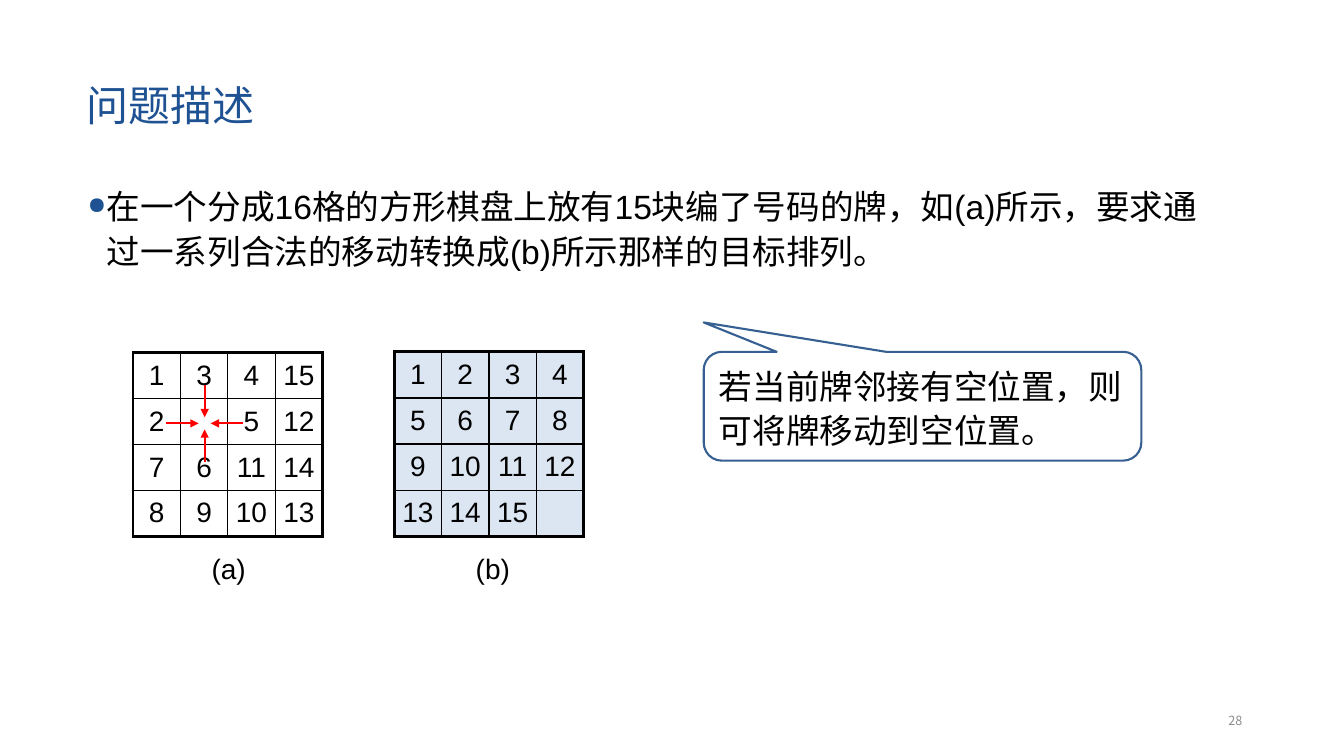
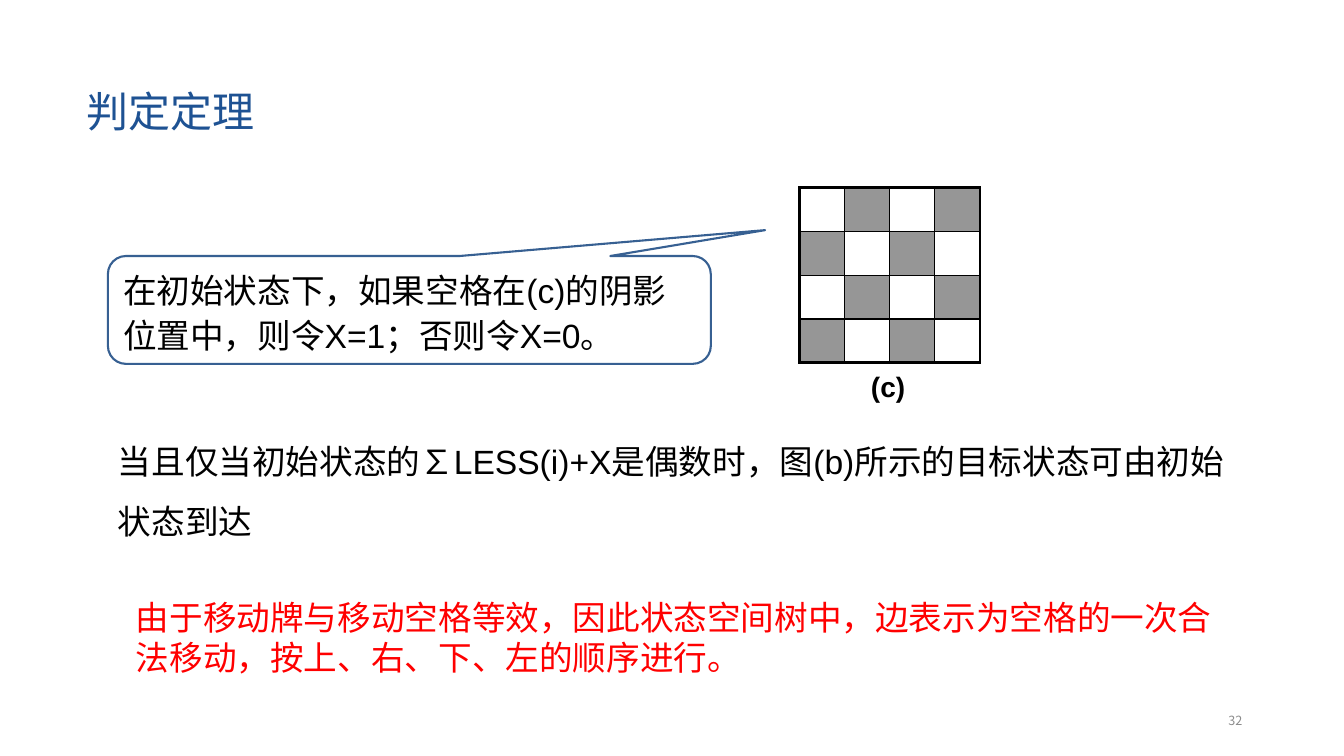
from lxml.etree import SubElement
from pptx import Presentation
from pptx.dml.color import RGBColor
from pptx.enum.shapes import MSO_CONNECTOR, MSO_SHAPE
from pptx.enum.text import MSO_ANCHOR, PP_ALIGN
from pptx.oxml.ns import qn
from pptx.util import Inches, Pt

BLACK, WHITE, RED = "000000", "FFFFFF", "FF0000"
TITLE_BLUE, CALLOUT_BLUE = "1E5293", "376092"
GOAL_FILL, SHADED_FILL = "DCE6F2", "969696"
PAGE_GRAY = "8C8C8C"
LATIN_FONT, CHINESE_FONT = "Arial", "Noto Sans CJK SC"
BOARD_SIZE = 4
EDGE_WIDTH, GRID_WIDTH = 2.25, 1

START_TILES = [["1", "3", "4", "15"], ["2", "", "5", "12"],
               ["7", "6", "11", "14"], ["8", "9", "10", "13"]]
GOAL_TILES = [["1", "2", "3", "4"], ["5", "6", "7", "8"],
              ["9", "10", "11", "12"], ["13", "14", "15", ""]]
NO_TILES = [[""] * BOARD_SIZE] * BOARD_SIZE


def color(value):
    return RGBColor.from_string(value)


def style_text(frame, text, size, font_color=BLACK, font_name=LATIN_FONT,
               bold=False, align=PP_ALIGN.LEFT, spacing=1.0):
    frame.word_wrap = True
    paragraph = frame.paragraphs[0]
    paragraph.text = text
    paragraph.alignment = align
    paragraph.line_spacing = spacing
    font = paragraph.font
    font.size = Pt(size)
    font.name = font_name
    font.bold = bold
    font.color.rgb = color(font_color)
    properties = paragraph._p.get_or_add_pPr().find(qn("a:defRPr"))
    SubElement(properties, qn("a:ea"), typeface=CHINESE_FONT)
    return paragraph


def add_text(slide, box, text, size, anchor=MSO_ANCHOR.TOP, **style):
    frame = slide.shapes.add_textbox(*map(Inches, box)).text_frame
    frame.vertical_anchor = anchor
    return style_text(frame, text, size, **style)


def add_bullet(paragraph, indent):
    properties = paragraph._p.get_or_add_pPr()
    properties.set("marL", str(Inches(indent)))
    properties.set("indent", str(-Inches(indent)))
    bullet_color = SubElement(properties, qn("a:buClr"))
    SubElement(bullet_color, qn("a:srgbClr"), val=TITLE_BLUE)
    SubElement(properties, qn("a:buSzPct"), val="70000")
    SubElement(properties, qn("a:buChar"), char="●")
    properties.append(properties.find(qn("a:defRPr")))


def add_base_slide(presentation, title, title_top, page):
    slide = presentation.slides.add_slide(presentation.slide_layouts[6])
    add_text(slide, (0.76, title_top, 11.5, 1.45), title, 30, MSO_ANCHOR.MIDDLE,
             font_color=TITLE_BLUE, spacing=0.9)
    add_text(slide, (9.42, 6.95, 3, 0.4), page, 9, MSO_ANCHOR.MIDDLE,
             font_color=PAGE_GRAY, font_name=CHINESE_FONT, align=PP_ALIGN.RIGHT)
    return slide


def set_borders(cell, row, column):
    last = BOARD_SIZE - 1
    on_edge = {"a:lnL": column == 0, "a:lnR": column == last,
               "a:lnT": row == 0, "a:lnB": row == last}
    properties = cell._tc.get_or_add_tcPr()
    for tag, is_edge in on_edge.items():
        width = Pt(EDGE_WIDTH if is_edge else GRID_WIDTH)
        border = SubElement(properties, qn(tag), w=str(width))
        fill = SubElement(border, qn("a:solidFill"))
        SubElement(fill, qn("a:srgbClr"), val=BLACK)


def add_board(slide, box, tiles, fills):
    left, top, width, height = map(Inches, box)
    table = slide.shapes.add_table(BOARD_SIZE, BOARD_SIZE, left, top, width, height).table
    table.first_row = table.horz_banding = False
    for row, values in enumerate(tiles):
        table.rows[row].height = height // BOARD_SIZE
        table.columns[row].width = width // BOARD_SIZE
        for column, value in enumerate(values):
            cell = table.cell(row, column)
            cell.margin_left = cell.margin_right = 0
            cell.margin_top = cell.margin_bottom = 0
            cell.vertical_anchor = MSO_ANCHOR.MIDDLE
            style_text(cell.text_frame, value, 20, align=PP_ALIGN.CENTER)
            set_borders(cell, row, column)
            cell.fill.solid()
            cell.fill.fore_color.rgb = color(fills[(row + column) % 2])


def add_caption(slide, left, top, text, bold=False):
    add_text(slide, (left, top, 0.58, 0.43), text, 20, bold=bold)


def add_callout(slide, box, pointer, text, font_name=LATIN_FONT):
    shape = slide.shapes.add_shape(MSO_SHAPE.ROUNDED_RECTANGULAR_CALLOUT, *map(Inches, box))
    shape.shadow.inherit = False
    shape.adjustments[0], shape.adjustments[1] = pointer
    shape.fill.background()
    shape.line.color.rgb = color(CALLOUT_BLUE)
    shape.line.width = Pt(1.5)
    shape.text_frame.vertical_anchor = MSO_ANCHOR.TOP
    style_text(shape.text_frame, text, 24, font_name=font_name, spacing=1.1)


def add_arrow(slide, start, end):
    arrow = slide.shapes.add_connector(MSO_CONNECTOR.STRAIGHT, *map(Inches, start + end))
    arrow.line.color.rgb = color(RED)
    arrow.line.width = Pt(1.5)
    SubElement(arrow.line._get_or_add_ln(), qn("a:tailEnd"), type="triangle")
    SubElement(arrow._element.spPr, qn("a:effectLst"))


def add_move_arrows(slide, center_x, center_y, outer, inner):
    for x, y in ((-1, 0), (0, 1), (1, 0), (0, -1)):
        start = (center_x + x * outer, center_y + y * outer)
        end = (center_x + x * inner, center_y + y * inner)
        add_arrow(slide, start, end)


def build_problem_slide(presentation):
    slide = add_base_slide(presentation, "问题描述", 0.35, "28")
    body = add_text(
        slide, (0.77, 1.76, 11.5, 1.27),
        "在一个分成16格的方形棋盘上放有15块编了号码的牌，如(a)所示，"
        "要求通过一系列合法的移动转换成(b)所示那样的目标排列。", 24, spacing=1.1)
    body.space_before = Pt(7.5)
    add_bullet(body, 0.19)
    add_board(slide, (3.91, 3.49, 1.88, 1.83), GOAL_TILES, (GOAL_FILL, GOAL_FILL))
    add_board(slide, (1.32, 3.5, 1.88, 1.82), START_TILES, (WHITE, WHITE))
    add_caption(slide, 2, 5.42, "(a)")
    add_caption(slide, 4.62, 5.42, "(b)")
    add_move_arrows(slide, 2.03, 4.2, 0.38, 0.06)
    add_callout(slide, (6.98, 3.49, 4.34, 1.08), (-0.5, -0.77),
                "若当前牌邻接有空位置，则可将牌移动到空位置。", CHINESE_FONT)


def build_theorem_slide(presentation):
    slide = add_base_slide(presentation, "判定定理", 0.41, "32")
    add_board(slide, (7.93, 1.86, 1.79, 1.74), NO_TILES, (WHITE, SHADED_FILL))
    add_caption(slide, 8.54, 3.62, "(c)", bold=True)
    add_callout(slide, (1.07, 2.54, 5.98, 1.07), (0.59, -0.74),
                "在初始状态下，如果空格在(c)的阴影位置中，则令X=1；否则令X=0。")
    add_text(slide, (1.25, 5.87, 11.01, 0.91),
             "由于移动牌与移动空格等效，因此状态空间树中，边表示为空格的一次合法移动，"
             "按上、右、下、左的顺序进行。", 24, font_color=RED, font_name=CHINESE_FONT)
    add_text(slide, (1.07, 4.12, 11.19, 1.25),
             "当且仅当初始状态的∑LESS(i)+X是偶数时，图(b)所示的目标状态可由初始状态到达",
             24, spacing=1.5)


def main():
    presentation = Presentation()
    presentation.slide_width = Inches(13.33)
    presentation.slide_height = Inches(7.5)
    build_problem_slide(presentation)
    build_theorem_slide(presentation)
    presentation.save("out.pptx")


if __name__ == "__main__":
    main()
